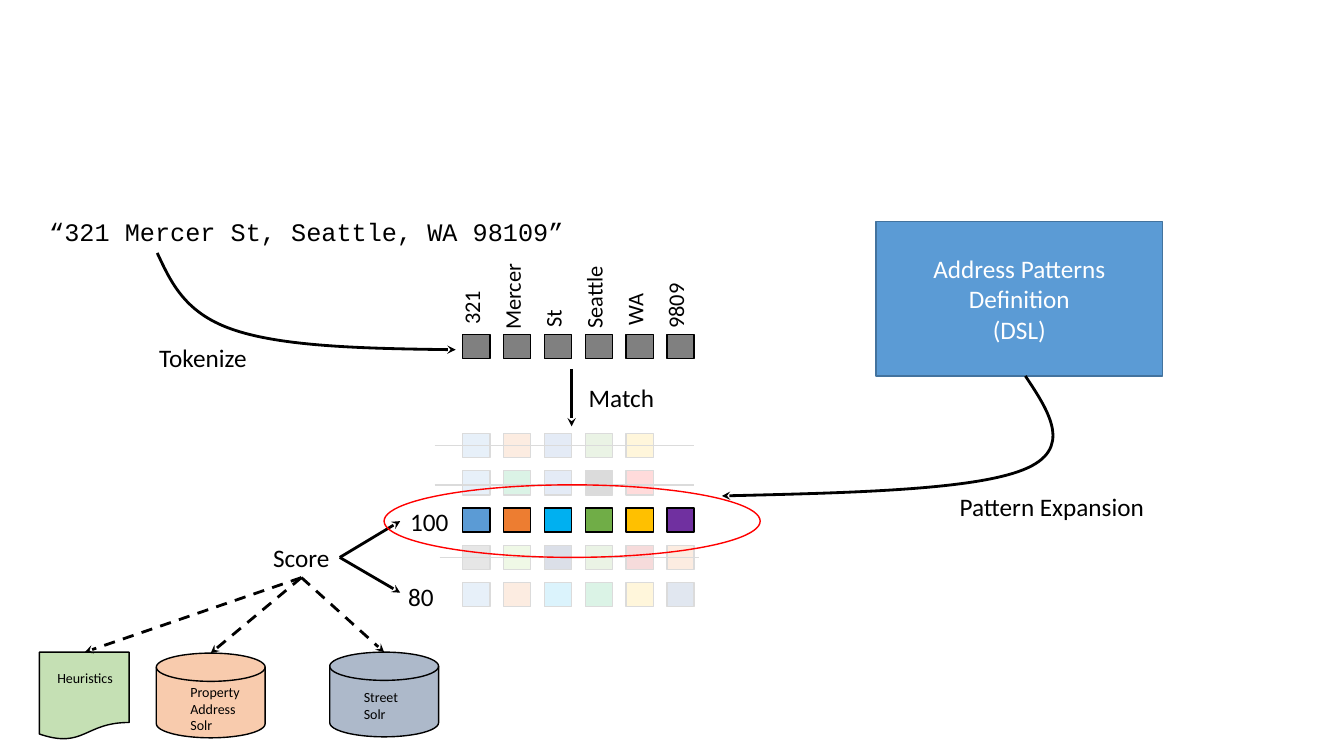
from lxml import etree
from pptx import Presentation
from pptx.dml.color import RGBColor
from pptx.enum.dml import MSO_LINE
from pptx.enum.shapes import MSO_CONNECTOR, MSO_SHAPE
from pptx.enum.text import MSO_ANCHOR, MSO_AUTO_SIZE, PP_ALIGN
from pptx.oxml.ns import qn
from pptx.util import Inches, Pt

RECT = MSO_SHAPE.RECTANGLE
ELLIPSE = MSO_SHAPE.OVAL
DISK = MSO_SHAPE.FLOWCHART_MAGNETIC_DISK
DOCUMENT = MSO_SHAPE.FLOWCHART_DOCUMENT
STRAIGHT = MSO_CONNECTOR.STRAIGHT
DASH = MSO_LINE.DASH
MIDDLE = MSO_ANCHOR.MIDDLE
CENTER, LEFT = PP_ALIGN.CENTER, PP_ALIGN.LEFT
GROW = MSO_AUTO_SIZE.SHAPE_TO_FIT_TEXT

COLORS = {
    "black": "000000", "white": "FFFFFF", "gray": "808080", "charcoal": "525252",
    "blue": "5B9BD5", "edge": "43739E", "indigo": "4472C4", "sky": "00B0F0",
    "navy": "002060", "royal": "2F5597", "orange": "ED7D31", "gold": "FFC000",
    "red": "FF0000", "crimson": "C00000", "purple": "7030A0", "green": "70AD47",
    "emerald": "00B050", "lime": "92D050", "peach": "F8CBAD", "slate": "ADB9CA",
    "mint": "C5E0B4",
}
PATTERNS = [
    ["blue", "orange", "indigo", "green", "gold"],
    ["blue", "emerald", "indigo", "black", "red"],
    ["blue", "orange", "sky", "green", "gold", "purple"],
    ["charcoal", "lime", "navy", "green", "crimson", "orange"],
    ["blue", "orange", "sky", "emerald", "gold", "royal"],
]
TOKENS = [("321", 2.88, 0.44), ("Mercer", 2.6, 0.77), ("St", 3.07, 0.28),
          ("Seattle", 2.63, 0.73), ("WA", 2.91, 0.42), ("9809", 2.8, 0.56)]
GRID_LEFT, GRID_TOP, TOKEN_TOP = 4.59, 4.3, 3.32
COL_STEP, ROW_STEP = 0.405, 0.37


class Diagram:
    font = "Calibri"

    def __init__(self, slide):
        self.shapes = slide.shapes

    def color(self, name):
        return RGBColor.from_string(COLORS[name])

    def stroke(self, line, color, width):
        line.color.rgb = self.color(color)
        line.width = Pt(width)

    def arrowhead(self, sp):
        ln = sp._element.spPr.find(qn("a:ln"))
        etree.SubElement(ln, qn("a:tailEnd"), type="stealth")

    def set_text(self, tf, text, size, color, align, font=None):
        tf.text = text
        for p in tf.paragraphs:
            p.alignment = align
            for r in p.runs:
                r.font.name = font or self.font
                r.font.size = Pt(size)
                r.font.color.rgb = self.color(color)

    def shape(self, kind, box, fill=None, line="black", alpha=None):
        sp = self.shapes.add_shape(kind, *map(Inches, box))
        sp.shadow.inherit = False
        if fill:
            sp.fill.solid()
            sp.fill.fore_color.rgb = self.color(fill)
        else:
            sp.fill.background()
        if alpha:
            clr = sp._element.spPr.find(qn("a:solidFill"))[0]
            etree.SubElement(clr, qn("a:alpha"), val=str(alpha * 1000))
        if line:
            self.stroke(sp.line, line, 1)
        else:
            sp.line.fill.background()
        return sp

    def cell(self, col, top, fill):
        self.shape(RECT, (GRID_LEFT + col * COL_STEP, top, 0.27, 0.24), fill)

    def text(self, box, text, size=18, font=None, vert=None):
        sp = self.shapes.add_textbox(*map(Inches, box))
        tf = sp.text_frame
        tf.word_wrap = False
        tf.auto_size = GROW
        self.set_text(tf, text, size, "black", LEFT, font)
        if vert:
            sp._element.txBody.find(qn("a:bodyPr")).set("vert", vert)

    def line(self, start, end, width=2, dash=None, arrow=True):
        sp = self.shapes.add_connector(STRAIGHT, *map(Inches, start + end))
        self.stroke(sp.line, "black", width)
        if dash:
            sp.line.dash_style = dash
        if arrow:
            self.arrowhead(sp)
        etree.SubElement(sp._element.spPr, qn("a:effectLst"))

    def curve(self, start, *points):
        fb = self.shapes.build_freeform(*map(Inches, start), scale=1.0)
        fb.add_line_segments([tuple(map(Inches, pt)) for pt in points], close=False)
        sp = fb.convert_to_shape()
        outline = sp._element.find(".//" + qn("a:path"))
        segments = outline.findall(qn("a:lnTo"))
        for i in range(0, len(segments), 3):
            bezier = etree.SubElement(outline, qn("a:cubicBezTo"))
            for segment in segments[i:i + 3]:
                bezier.append(segment[0])
                outline.remove(segment)
        sp.shadow.inherit = False
        sp.fill.background()
        self.stroke(sp.line, "black", 2)
        self.arrowhead(sp)


def main():
    prs = Presentation()
    prs.slide_width, prs.slide_height = Inches(13.33), Inches(7.5)
    s = prs.slides.add_slide(prs.slide_layouts[6])
    d = Diagram(s)

    sp = d.shape(RECT, (8.69, 2.2, 2.84, 1.53), "blue", "edge")
    sp.text_frame.vertical_anchor = MIDDLE
    d.set_text(sp.text_frame, "Address Patterns Definition\n(DSL)", 18, "white", CENTER)

    for row, fills in enumerate(PATTERNS):
        for col, fill in enumerate(fills):
            d.cell(col, GRID_TOP + row * ROW_STEP, fill)

    d.curve((10.17, 3.73), (10.41, 4.09), (10.65, 4.46), (10.15, 4.66),
            (9.65, 4.86), (8.41, 4.89), (7.16, 4.92))
    d.text((9.42, 4.83, 2.05, 0.4), "Pattern Expansion")
    d.text((0.39, 2.1, 5.33, 0.4), "“321 Mercer St, Seattle, WA 98109”",
           font="Courier New")

    for col, (token, top, height) in enumerate(TOKENS):
        d.cell(col, TOKEN_TOP, "gray")
        d.text((GRID_LEFT - 0.1 + col * COL_STEP, top, 0.47, height), token, 16,
               vert="vert270")

    d.curve((1.56, 2.51), (1.7, 2.81), (1.84, 3.12), (2.34, 3.28),
            (2.83, 3.44), (3.67, 3.46), (4.52, 3.47))
    d.text((1.48, 3.35, 1.08, 0.4), "Tokenize")
    d.line((5.67, 3.66), (5.67, 4.23))
    d.text((5.74, 3.74, 0.86, 0.4), "Match")

    for left, y in [(4.31, 4.42), (4.31, 4.81), (4.36, 5.53)]:
        d.line((left, y), (left + 2.57, y), width=1, arrow=False)
    for veil in [(4.1, 4.26, 2.86, 0.72), (4.06, 5.36, 3.11, 0.76)]:
        d.shape(RECT, veil, "white", None, alpha=86)

    d.text((2.61, 5.33, 0.77, 0.4), "Score")
    d.text((3.97, 4.97, 0.59, 0.4), "100")
    d.text((3.95, 5.72, 0.46, 0.4), "80")
    for y in (5.17, 5.88):
        d.line((3.37, 5.53), (3.97, y))

    d.shape(DISK, (1.55, 6.48, 1.08, 0.84), "peach")
    d.text((1.79, 6.73, 0.7, 0.61), "Property\nAddress\nSolr", 10)
    d.shape(DISK, (3.27, 6.47, 1.08, 0.84), "slate")
    d.text((3.51, 6.78, 0.55, 0.44), "Street\nSolr", 10)
    d.shape(DOCUMENT, (0.39, 6.47, 0.89, 0.87), "mint")
    d.text((0.47, 6.59, 0.76, 0.27), "Heuristics", 10)
    for end in [(2.09, 6.48), (3.81, 6.47), (0.84, 6.47)]:
        d.line((2.99, 5.73), end, dash=DASH)

    d.shape(ELLIPSE, (3.81, 4.81, 3.73, 0.72), line="red")
    prs.save("out.pptx")


if __name__ == "__main__":
    main()
